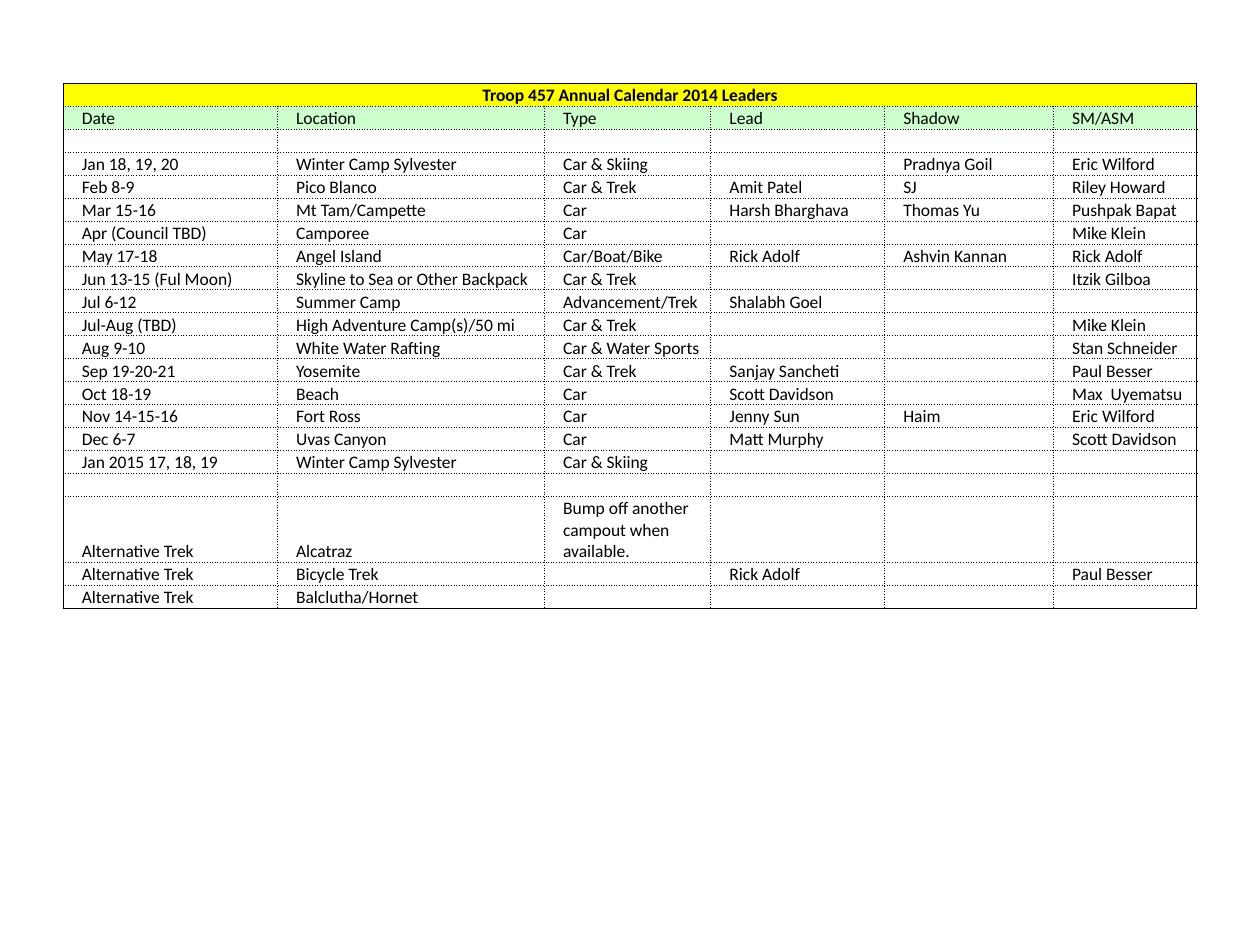
from lxml import etree
from pptx import Presentation
from pptx.dml.color import RGBColor
from pptx.enum.text import MSO_ANCHOR, PP_ALIGN
from pptx.oxml.ns import qn
from pptx.util import Inches, Pt

BOTTOM = MSO_ANCHOR.BOTTOM
CENTER, LEFT = PP_ALIGN.CENTER, PP_ALIGN.LEFT
BLACK = RGBColor(0x00, 0x00, 0x00)
YELLOW = RGBColor(0xFF, 0xFF, 0x00)
MINT = RGBColor(0xCC, 0xFF, 0xCC)
FONT, SIZE = "Calibri", Pt(10)

TITLE = "Troop 457 Annual Calendar 2014 Leaders"
HEADINGS = ("Date", "Location", "Type", "Lead", "Shadow", "SM/ASM")
BLANK = ("",) * len(HEADINGS)
OUTINGS = [
    ("Jan 18, 19, 20", "Winter Camp Sylvester", "Car & Skiing", "", "Pradnya Goil", "Eric Wilford"),
    ("Feb 8-9", "Pico Blanco", "Car & Trek", "Amit Patel", "SJ", "Riley Howard"),
    ("Mar 15-16", "Mt Tam/Campette", "Car", "Harsh Bharghava", "Thomas Yu", "Pushpak Bapat"),
    ("Apr (Council TBD)", "Camporee", "Car", "", "", "Mike Klein"),
    ("May 17-18", "Angel Island", "Car/Boat/Bike", "Rick Adolf", "Ashvin Kannan", "Rick Adolf"),
    ("Jun 13-15 (Ful Moon)", "Skyline to Sea or Other Backpack", "Car & Trek", "", "", "Itzik Gilboa"),
    ("Jul 6-12", "Summer Camp", "Advancement/Trek", "Shalabh Goel", "", ""),
    ("Jul-Aug (TBD)", "High Adventure Camp(s)/50 mi", "Car & Trek", "", "", "Mike Klein"),
    ("Aug 9-10", "White Water Rafting", "Car & Water Sports", "", "", "Stan Schneider"),
    ("Sep 19-20-21", "Yosemite", "Car & Trek", "Sanjay Sancheti", "", "Paul Besser"),
    ("Oct 18-19", "Beach", "Car", "Scott Davidson", "", "Max  Uyematsu"),
    ("Nov 14-15-16", "Fort Ross", "Car", "Jenny Sun", "Haim", "Eric Wilford"),
    ("Dec 6-7", "Uvas Canyon", "Car", "Matt Murphy", "", "Scott Davidson"),
    ("Jan 2015 17, 18, 19", "Winter Camp Sylvester", "Car & Skiing", "", "", ""),
]
ALTERNATIVES = [
    ("Alternative Trek", "Alcatraz", "Bump off another campout when available.", "", "", ""),
    ("Alternative Trek", "Bicycle Trek", "", "Rick Adolf", "", "Paul Besser"),
    ("Alternative Trek", "Balclutha/Hornet", "", "", "", ""),
]
ROWS = [(TITLE,) + BLANK[1:], HEADINGS, BLANK, *OUTINGS, BLANK, *ALTERNATIVES]
ROW_FILLS = {0: YELLOW, 1: MINT}
TALL_ROW = ROWS.index(ALTERNATIVES[0])

COLUMN_WIDTHS = (1.7, 2.12, 1.32, 1.38, 1.34, 1.14)
TABLE_LEFT, TABLE_TOP, TABLE_HEIGHT = 0.5, 0.66, 4.17
TALL_HEIGHT = 0.52
ROW_HEIGHT = (TABLE_HEIGHT - TALL_HEIGHT) / (len(ROWS) - 1)


def add_borders(cell, outer_edges):
    properties = cell._tc.get_or_add_tcPr()
    for edge in ("L", "R", "T", "B"):
        line = etree.SubElement(properties, qn(f"a:ln{edge}"), w=str(Pt(0.5)))
        fill = etree.SubElement(line, qn("a:solidFill"))
        etree.SubElement(fill, qn("a:srgbClr"), val=str(BLACK))
        dash = "solid" if edge in outer_edges else "dot"
        etree.SubElement(line, qn("a:prstDash"), val=dash)


def write_cell(cell, text, is_title):
    cell.vertical_anchor = BOTTOM
    cell.margin_left = Inches(0.01 if is_title else 0.15)
    cell.margin_right = cell.margin_top = Inches(0.01)
    cell.margin_bottom = 0
    para = cell.text_frame.paragraphs[0]
    para.alignment = CENTER if is_title else LEFT
    if text:
        span = para.add_run()
        span.text = text
        span.font.name, span.font.size = FONT, SIZE
        span.font.bold = is_title
        span.font.color.rgb = BLACK
    else:
        end = etree.SubElement(para._p, qn("a:endParaRPr"), sz=str(int(SIZE.pt * 100)))
        etree.SubElement(end, qn("a:latin"), typeface=FONT)


deck = Presentation()
deck.slide_width, deck.slide_height = Inches(10), Inches(7.5)
page = deck.slides.add_slide(deck.slide_layouts[6])

calendar = page.shapes.add_table(
    len(ROWS), len(HEADINGS), Inches(TABLE_LEFT), Inches(TABLE_TOP),
    Inches(sum(COLUMN_WIDTHS)), Inches(TABLE_HEIGHT)).table
calendar.first_row = calendar.horz_banding = False
for column, width in zip(calendar.columns, COLUMN_WIDTHS):
    column.width = Inches(width)

last_row, last_column = len(ROWS) - 1, len(HEADINGS) - 1
for r, texts in enumerate(ROWS):
    calendar.rows[r].height = Inches(TALL_HEIGHT if r == TALL_ROW else ROW_HEIGHT)
    for c, text in enumerate(texts):
        cell = calendar.cell(r, c)
        write_cell(cell, text, r == 0)
        on_edge = {"L": c == 0, "R": c == last_column or r == 0,
                   "T": r == 0, "B": r == last_row}
        add_borders(cell, [edge for edge, outer in on_edge.items() if outer])
        if r in ROW_FILLS:
            cell.fill.solid()
            cell.fill.fore_color.rgb = ROW_FILLS[r]
        else:
            cell.fill.background()
calendar.cell(0, 0).merge(calendar.cell(0, last_column))

deck.save("out.pptx")
